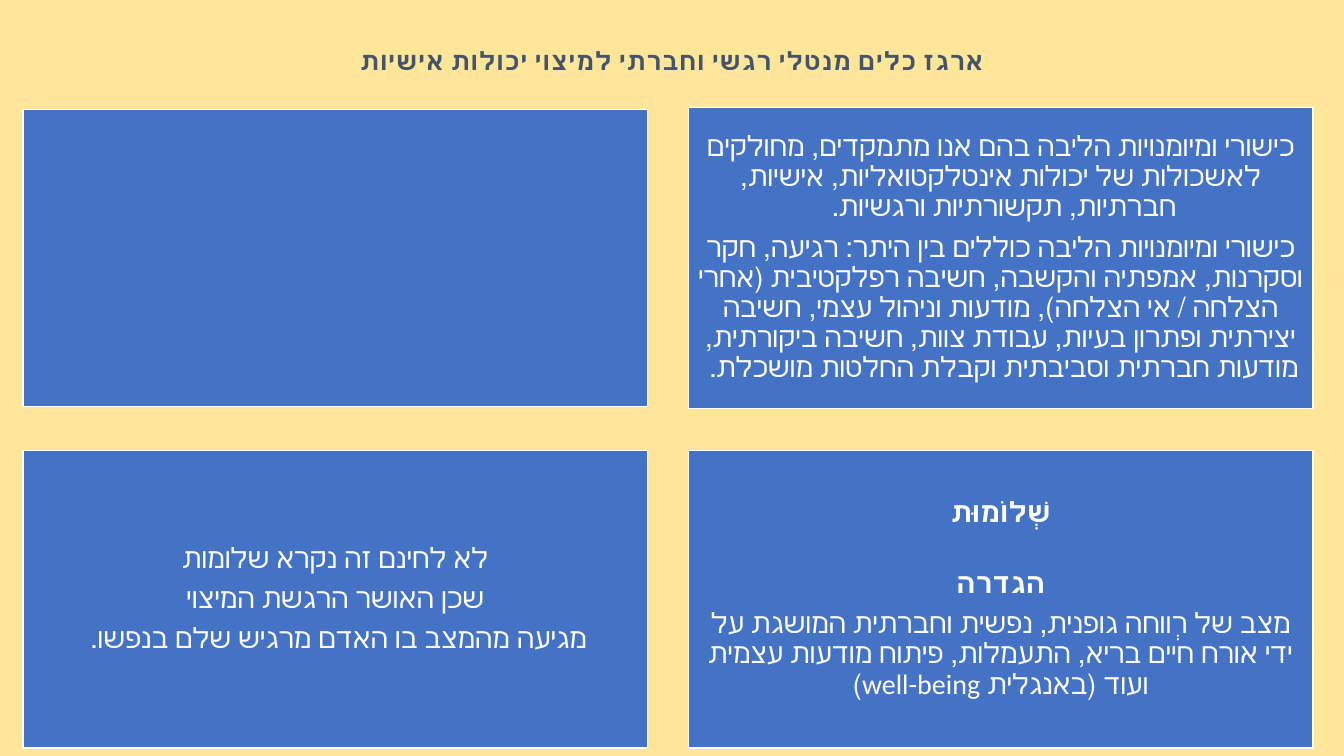
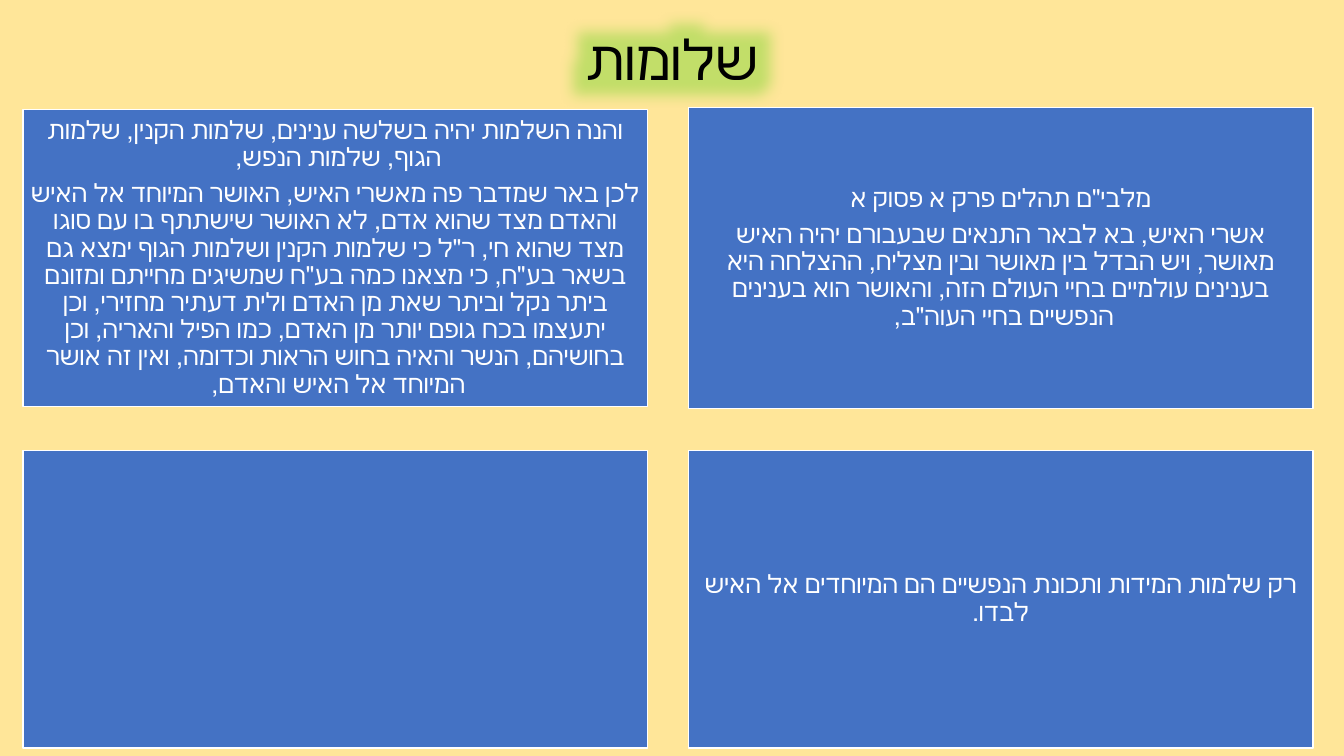
import lxml.etree
import pptx
import pptx.dml.color
import pptx.enum.shapes
import pptx.enum.text
import pptx.oxml.ns
import pptx.util

Cm = pptx.util.Cm
Pt = pptx.util.Pt
qn = pptx.oxml.ns.qn

COLORS = {
    "background": "FFE699",
    "panel": "4472C4",
    "panel_text": "FFFFFF",
    "heading": "44546A",
    "heading_dark": "000000",
    "glow": "68D321",
}
BODY_FONT = "Calibri"
HEADING_HEBREW_FONT = "Calibri"
BODY_HEBREW_FONT = "+mn-cs"  # the theme's own choice
LINE_SPACING = 0.9
COLUMNS = {"left": 0.58, "right": 17.35}
PANEL_WIDTH = 15.74
PANEL_HEIGHT = 7.49
ROWS = {"top": 2.76, "bottom": 11.36}
TOP_RIGHT_GROWTH = 0.05  # the top right panel is taller at both ends


def rgb(name):
    return pptx.dml.color.RGBColor.from_string(COLORS[name])


def write_hebrew(paragraph, text, fonts, size, color, bold=False):
    """Fill a centred right-to-left paragraph; fonts is (Latin, Hebrew)."""
    latin, hebrew = fonts
    paragraph.text = text
    paragraph.alignment = pptx.enum.text.PP_ALIGN.CENTER
    paragraph.line_spacing = LINE_SPACING
    paragraph._p.get_or_add_pPr().set("rtl", "1")
    for run in paragraph.runs:
        font = run.font
        font.name, font.size, font.bold = latin, Pt(size), bold
        font.color.rgb = rgb(color)
        lxml.etree.SubElement(font._element, qn("a:cs"), typeface=hebrew)


def add_glow(run, color, radius, opacity):
    """Put a soft glow around the letters of a run."""
    properties = run.font._element
    effects = lxml.etree.Element(qn("a:effectLst"))
    glow = lxml.etree.SubElement(effects, qn("a:glow"), rad=str(radius))
    tint = lxml.etree.SubElement(glow, qn("a:srgbClr"), val=COLORS[color])
    lxml.etree.SubElement(tint, qn("a:alpha"), val=str(opacity * 1000))
    properties.find(qn("a:solidFill")).addnext(effects)


def add_slide(deck):
    slide = deck.slides.add_slide(deck.slide_layouts[6])
    slide.background.fill.solid()
    slide.background.fill.fore_color.rgb = rgb("background")
    return slide


def add_heading(slide, text, latin, size, color, bold=False):
    box = slide.shapes.add_textbox(Cm(2.34), Cm(1.02), Cm(29.21), Cm(1.12))
    frame = box.text_frame
    frame.word_wrap = True
    frame.vertical_anchor = pptx.enum.text.MSO_ANCHOR.MIDDLE
    write_hebrew(frame.paragraphs[0], text, (latin, HEADING_HEBREW_FONT),
                 size, color, bold)
    return frame.paragraphs[0].runs[0]


def add_panel(slide, row, column, entries, size):
    """Draw one panel; each entry is (text, bold, points of space before)."""
    top, height = ROWS[row], PANEL_HEIGHT
    if (row, column) == ("top", "right"):
        top, height = top - TOP_RIGHT_GROWTH, height + 2 * TOP_RIGHT_GROWTH
    panel = slide.shapes.add_shape(
        pptx.enum.shapes.MSO_SHAPE.RECTANGLE,
        Cm(COLUMNS[column]), Cm(top), Cm(PANEL_WIDTH), Cm(height))
    panel.shadow.inherit = False
    panel.fill.solid()
    panel.fill.fore_color.rgb = rgb("panel")
    panel.line.color.rgb = rgb("panel_text")
    panel.line.width = Pt(1)

    frame = panel.text_frame
    frame.word_wrap = True
    frame.vertical_anchor = pptx.enum.text.MSO_ANCHOR.MIDDLE
    inset = Cm(size / 100)
    frame.margin_left = frame.margin_right = inset
    frame.margin_top = frame.margin_bottom = inset
    for index, (text, bold, space_before) in enumerate(entries):
        paragraph = frame.add_paragraph() if index else frame.paragraphs[0]
        write_hebrew(paragraph, text, (BODY_FONT, BODY_HEBREW_FONT),
                     size, "panel_text", bold)
        paragraph.space_after = Pt(0.35 * size)
        if space_before:
            paragraph.space_before = Pt(space_before)


def add_panels(slide, contents, size):
    for row in ROWS:
        for column in COLUMNS:
            add_panel(slide, row, column, contents.get((row, column), []), size)


def plain(*texts):
    return [(text, False, 0) for text in texts]


TOOLBOX = {
    ("top", "right"): plain(
        "כישורי ומיומנויות הליבה בהם אנו מתמקדים, מחולקים לאשכולות של יכולות "
        "אינטלקטואליות, אישיות, חברתיות, תקשורתיות ורגשיות. ",
        "כישורי ומיומנויות הליבה כוללים בין היתר: רגיעה, חקר וסקרנות, אמפתיה "
        "והקשבה, חשיבה רפלקטיבית (אחרי הצלחה / אי הצלחה), מודעות וניהול עצמי, "
        "חשיבה יצירתית ופתרון בעיות, עבודת צוות, חשיבה ביקורתית, מודעות חברתית "
        "וסביבתית וקבלת החלטות מושכלת. "),
    ("bottom", "left"): plain(
        "לא לחינם זה נקרא שלומות",
        "שכן האושר הרגשת המיצוי",
        "מגיעה מהמצב בו האדם מרגיש שלם בנפשו. "),
    ("bottom", "right"): [
        ("שְׁלוֹמוּת", True, 0),
        ("הגדרה", True, 22),
        ("מצב של רְווחה גופנית, נפשית וחברתית המושגת על ידי אורח חיים בריא, "
         "התעמלות, פיתוח מודעות עצמית ועוד (באנגלית well-being)", False, 0)],
}

WHOLENESS = {
    ("top", "left"): plain(
        "והנה השלמות יהיה בשלשה ענינים, שלמות הקנין, שלמות הגוף, שלמות הנפש, ",
        "לכן באר שמדבר פה מאשרי האיש, האושר המיוחד אל האיש והאדם מצד שהוא אדם, "
        "לא האושר שישתתף בו עם סוגו מצד שהוא חי, ר\"ל כי שלמות הקנין ושלמות הגוף "
        "ימצא גם בשאר בע\"ח, כי מצאנו כמה בע\"ח שמשיגים מחייתם ומזונם ביתר נקל "
        "וביתר שאת מן האדם ולית דעתיר מחזירי, וכן יתעצמו בכח גופם יותר מן האדם, "
        "כמו הפיל והאריה, וכן בחושיהם, הנשר והאיה בחוש הראות וכדומה, ואין זה אושר "
        "המיוחד אל האיש והאדם, "),
    ("top", "right"): plain(
        "מלבי\"ם תהלים פרק א פסוק א",
        "אשרי האיש, בא לבאר התנאים שבעבורם יהיה האיש מאושר, ויש הבדל בין מאושר "
        "ובין מצליח, ההצלחה היא בענינים עולמיים בחיי העולם הזה, והאושר הוא בענינים "
        "הנפשיים בחיי העוה\"ב, "),
    ("bottom", "right"): plain(
        "רק שלמות המידות ותכונת הנפשיים הם המיוחדים אל האיש לבדו."),
}


def main():
    deck = pptx.Presentation()
    deck.slide_width, deck.slide_height = Cm(33.87), Cm(19.05)

    toolbox = add_slide(deck)
    heading = add_heading(
        toolbox, "ארגז כלים מנטלי רגשי וחברתי למיצוי יכולות אישיות",
        "Arial", 18, "heading", bold=True)
    heading.font._element.set("spc", "50")
    add_panels(toolbox, TOOLBOX, 20)

    wholeness = add_slide(deck)
    heading = add_heading(wholeness, "שלומות", BODY_FONT, 39.6, "heading_dark")
    add_glow(heading, "glow", Pt(50), 40)
    add_panels(wholeness, WHOLENESS, 18)

    deck.save("out.pptx")


if __name__ == "__main__":
    main()
